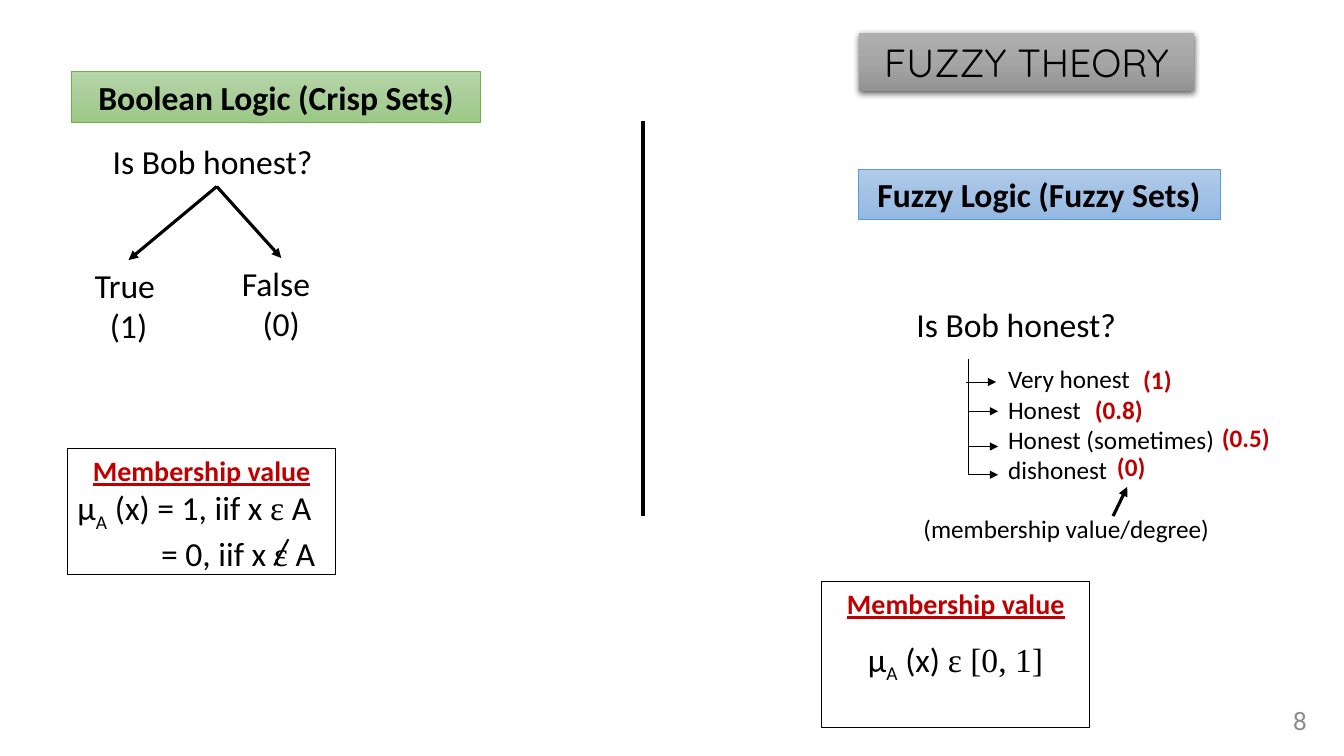
from copy import deepcopy

from lxml.etree import SubElement
from pptx import Presentation
from pptx.dml.color import RGBColor
from pptx.enum.shapes import MSO_CONNECTOR, MSO_SHAPE
from pptx.enum.text import MSO_ANCHOR, PP_ALIGN
from pptx.oxml.ns import qn
from pptx.util import Pt

PX = 9144
BLACK = RGBColor(0x00, 0x00, 0x00)
RED = RGBColor(0xC0, 0x00, 0x00)
PAGE_GRAY = RGBColor(0x8C, 0x8C, 0x8C)
GREEN_EDGE = RGBColor(0x70, 0xAD, 0x47)
BLUE_EDGE = RGBColor(0x5B, 0x9B, 0xD5)
GREENS = [RGBColor(0xB5, 0xD5, 0xA7), RGBColor(0xAA, 0xCE, 0x9A), RGBColor(0x9C, 0xC9, 0x87)]
BLUES = [RGBColor(0xB1, 0xCB, 0xE9), RGBColor(0xA3, 0xC1, 0xE5), RGBColor(0x93, 0xB9, 0xE4)]
GRAYS = [RGBColor(0xAF, 0xAF, 0xAF), RGBColor(0xA5, 0xA5, 0xA5), RGBColor(0x93, 0x93, 0x93)]
LEFT, CENTER, RIGHT = PP_ALIGN.LEFT, PP_ALIGN.CENTER, PP_ALIGN.RIGHT
BODY, SYMBOL = "Calibri", "Times New Roman"


class SlideBuilder:
    def __init__(self, slide):
        self.slide = slide
        self.shapes = slide.shapes

    def paragraph(self, frame, runs, size=24, color=BLACK, align=LEFT, font=BODY,
                  bold=False, underline=False, indent=0):
        first = len(frame.paragraphs) == 1 and not frame.paragraphs[0].runs
        paragraph = frame.paragraphs[0] if first else frame.add_paragraph()
        paragraph.alignment = align
        if indent:
            paragraph._p.get_or_add_pPr().set("marL", str(indent * PX))
        paragraph.font.name = font
        paragraph.font.size = Pt(size)
        paragraph.font.bold = bold
        paragraph.font.underline = underline
        paragraph.font.color.rgb = color
        for words, kind in [(runs, "")] if isinstance(runs, str) else runs:
            run = paragraph.add_run()
            run.text = words
            if kind == "symbol":
                run.font.name = SYMBOL
            elif kind == "sub":
                run._r.get_or_add_rPr().set("baseline", "-25000")

    def text(self, box, *paragraphs, anchor=MSO_ANCHOR.TOP, **style):
        area = self.shapes.add_textbox(*[n * PX for n in box])
        area.text_frame.word_wrap = True
        area.text_frame.vertical_anchor = anchor
        for words in paragraphs:
            self.paragraph(area.text_frame, words, **style)
        return area

    def panel(self, box, edge=None, width=0.5):
        panel = self.shapes.add_shape(MSO_SHAPE.RECTANGLE, *[n * PX for n in box])
        panel.shadow.inherit = False
        panel.fill.background()
        if edge is None:
            panel.line.fill.background()
        else:
            panel.line.color.rgb = edge
            panel.line.width = Pt(width)
        panel.text_frame.word_wrap = True
        panel.text_frame.vertical_anchor = MSO_ANCHOR.TOP
        return panel

    def banner(self, box, words, shades, edge=None, **style):
        banner = self.panel(box, edge)
        banner.fill.gradient()
        banner.fill.gradient_angle = 270
        stops = banner._element.spPr.find(".//" + qn("a:gsLst"))
        stops.insert(1, deepcopy(stops[0]))
        for stop, shade, position in zip(banner.fill.gradient_stops, shades, (0, 0.5, 1)):
            stop.color.rgb = shade
            stop.position = position
        self.paragraph(banner.text_frame, words, align=CENTER, **style)
        return banner

    def drop_shadow(self, shape):
        effects = shape._element.spPr.find(qn("a:effectLst"))
        shadow = SubElement(effects, qn("a:outerShdw"), blurRad=str(Pt(4.5)),
                            dist=str(Pt(1.5)), dir="5400000", algn="ctr", rotWithShape="0")
        tint = SubElement(shadow, qn("a:srgbClr"), val=str(BLACK))
        SubElement(tint, qn("a:alpha"), val="63000")

    def membership_panel(self, box):
        panel = self.panel(box, BLACK, 0.75)
        self.paragraph(panel.text_frame, "Membership value", size=20, color=RED,
                       align=CENTER, bold=True, underline=True)
        return panel

    def line(self, start, end, width, arrow=False):
        line = self.shapes.add_connector(MSO_CONNECTOR.STRAIGHT,
                                         *[n * PX for n in start + end])
        line.line.color.rgb = BLACK
        line.line.width = Pt(width)
        if arrow:
            SubElement(line.line._get_or_add_ln(), qn("a:tailEnd"), type="triangle")
        SubElement(line._element.spPr, qn("a:effectLst"))
        return line


def build_crisp(builder):
    builder.banner((71, 71, 406, 50), "Boolean Logic (Crisp Sets)", GREENS, GREEN_EDGE, bold=True)
    question = builder.text((102, 135, 226, 50), "Is Bob honest?")
    for box, answer, value in [((84, 258, 87, 91), "True", "(1)"),
                               ((230, 256, 98, 91), "False", "(0)")]:
        outcome = builder.text(box, answer)
        builder.paragraph(outcome.text_frame, value, align=CENTER)
        branch = builder.line((215, 186), (box[0] + box[2] // 2, box[1]), 2.25, arrow=True)
        branch.begin_connect(question, 2)
        branch.end_connect(outcome, 0)

    membership = builder.membership_panel((67, 445, 266, 125)).text_frame
    builder.paragraph(membership, [("μ", ""), ("A", "sub"), (" (x) = 1, iif x ", ""),
                                   ("ε", "symbol"), (" A", "")])
    builder.paragraph(membership, [("= 0, iif x ", ""), ("ε", "symbol"), (" A", "")], indent=83)
    builder.line((286, 535), (272, 561), 1.5)


def build_fuzzy(builder):
    builder.banner((851, 168, 359, 50), "Fuzzy Logic (Fuzzy Sets)", BLUES, BLUE_EDGE, bold=True)
    builder.text((899, 297, 293, 50), "Is Bob honest?")
    builder.text((990, 356, 234, 131), "Very honest", "Honest", "Honest (sometimes)",
                 "dishonest", size=18)
    builder.line((960, 356), (960, 471), 0.5)
    for x, y in [(958, 379), (960, 408), (960, 443), (960, 471)]:
        builder.line((x, y), (x + 30, y), 0.5, arrow=True)
    for box, degree in [((1124, 357, 53, 40), "(1)"), ((1076, 386, 83, 40), "(0.8)"),
                        ((1202, 414, 83, 40), "(0.5)"), ((1098, 443, 53, 40), "(0)")]:
        builder.text(box, degree, size=18, color=RED, bold=True)
    builder.text((815, 504, 485, 40), "(membership value/degree)", size=18, align=CENTER)
    builder.line((1104, 512), (1118, 483), 2.25, arrow=True)

    builder.membership_panel((815, 577, 266, 145))
    builder.text((851, 629, 207, 50), [("μ", ""), ("A", "sub"), (" (x) ", ""),
                                       ("ε [0, 1]", "symbol")])


def main():
    deck = Presentation()
    deck.slide_width = 1333 * PX
    deck.slide_height = 750 * PX
    builder = SlideBuilder(deck.slides.add_slide(deck.slide_layouts[6]))
    title = builder.banner((852, 33, 332, 57), "FUZZY THEORY", GRAYS, size=28, font="Quicksand")
    builder.drop_shadow(title)
    build_crisp(builder)
    builder.line((638, 120), (638, 512), 3)
    build_fuzzy(builder)
    builder.text((1224, 695, 82, 40), "8", size=18, font="Roboto", color=PAGE_GRAY,
                 align=RIGHT, anchor=MSO_ANCHOR.MIDDLE)
    deck.save("out.pptx")


if __name__ == "__main__":
    main()
